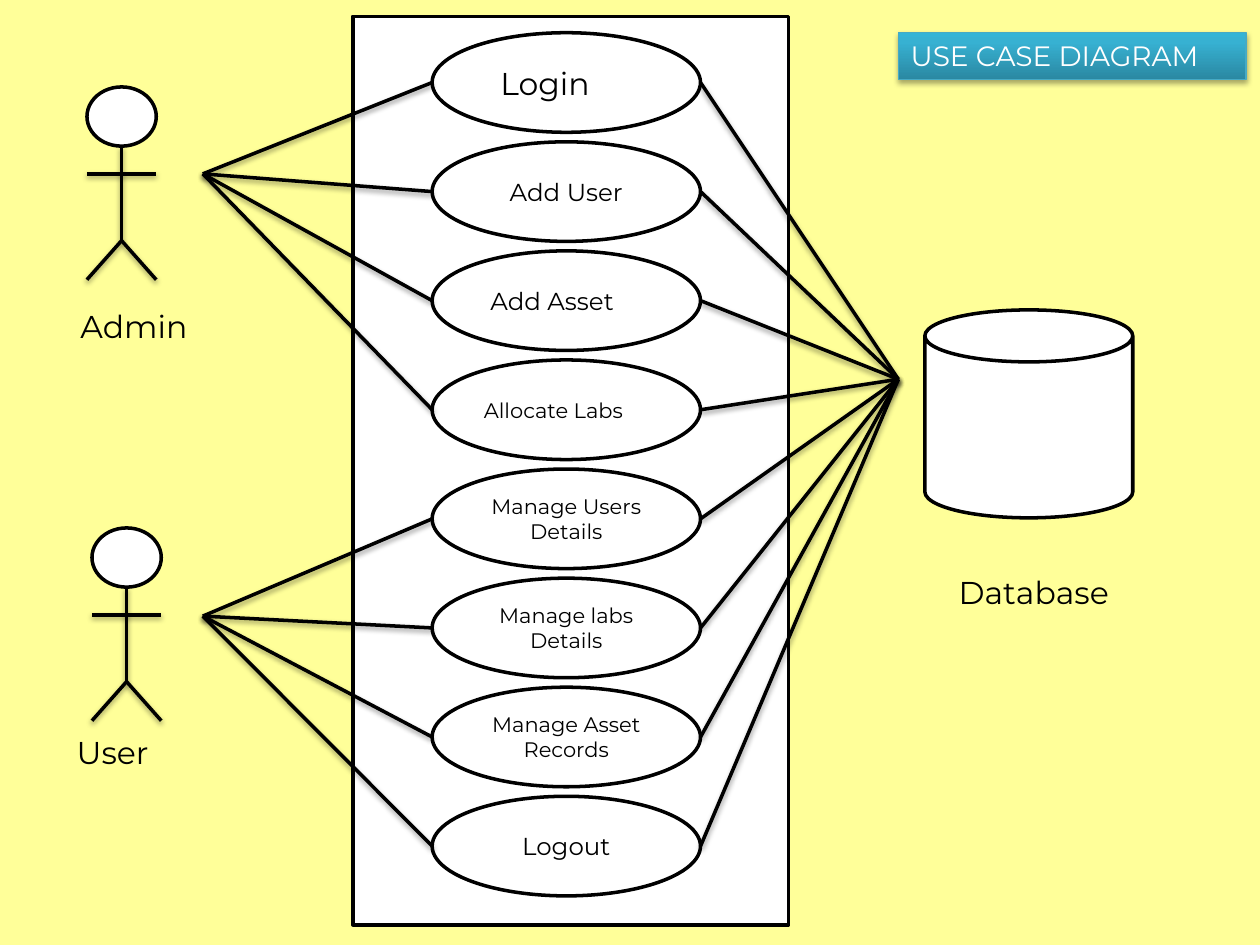
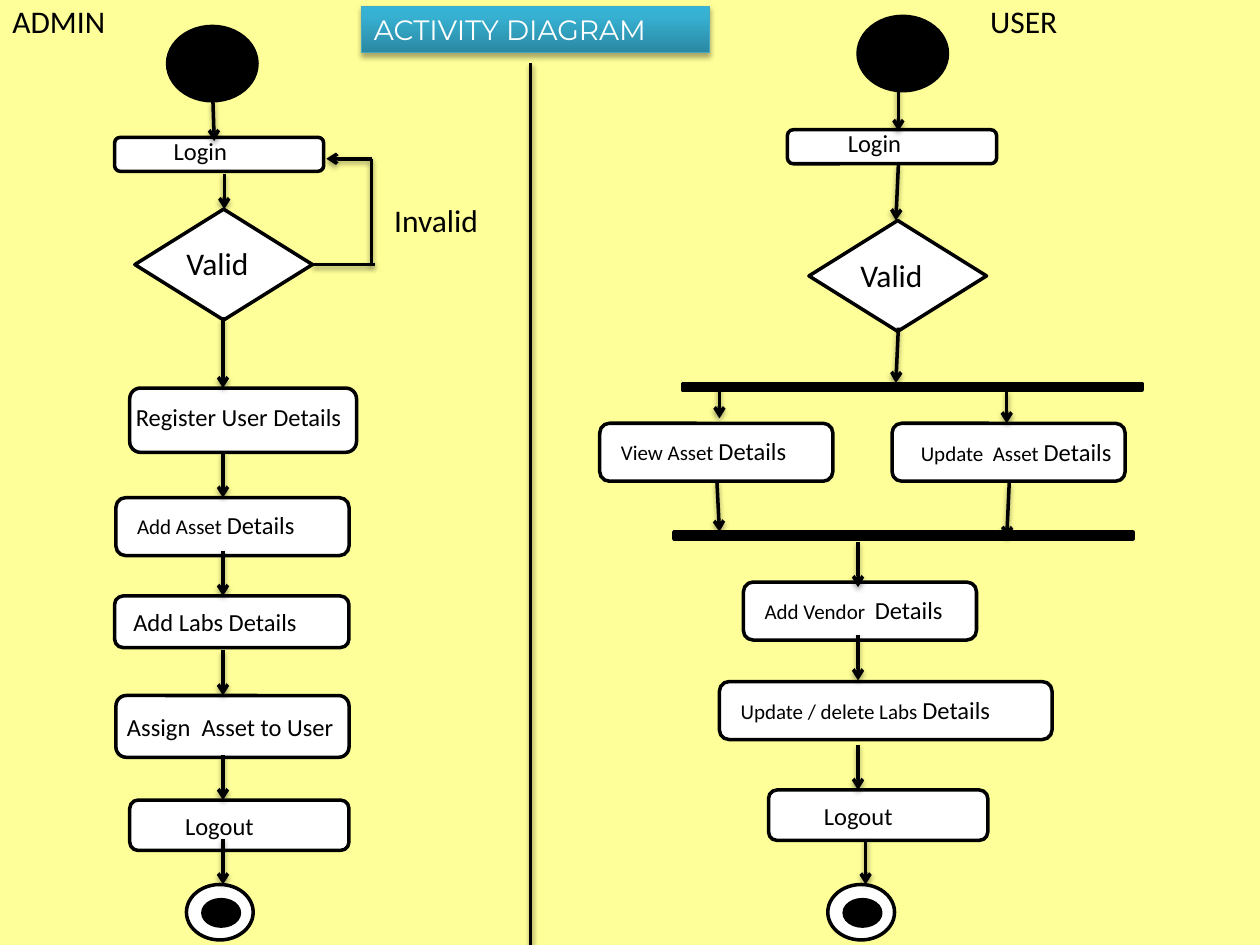
from lxml import etree
from pptx import Presentation
from pptx.dml.color import RGBColor
from pptx.enum.shapes import MSO_CONNECTOR, MSO_SHAPE
from pptx.enum.text import MSO_ANCHOR, MSO_AUTO_SIZE, PP_ALIGN
from pptx.oxml.ns import qn
from pptx.util import Inches, Pt

RECT, ROUNDED, OVAL = MSO_SHAPE.RECTANGLE, MSO_SHAPE.ROUNDED_RECTANGLE, MSO_SHAPE.OVAL
DIAMOND, CYLINDER = MSO_SHAPE.DIAMOND, MSO_SHAPE.CAN
DISC, BAR = MSO_SHAPE.FLOWCHART_CONNECTOR, MSO_SHAPE.MATH_MINUS
STRAIGHT = MSO_CONNECTOR.STRAIGHT
LEFT, CENTER = PP_ALIGN.LEFT, PP_ALIGN.CENTER
TOP, MIDDLE = MSO_ANCHOR.TOP, MSO_ANCHOR.MIDDLE
GROW = MSO_AUTO_SIZE.SHAPE_TO_FIT_TEXT

BLACK, WHITE, PAPER = "000000", "FFFFFF", "FFFF99"
BANNER_EDGE = "46AAC5"
BANNER_STOPS = [(0, "2A88A2"), (80, "37B1D2"), (100, "34B4D6")]
HEADING_FONT, FLOW_FONT = "Montserrat", "Calibri"


def color(value):
    return RGBColor.from_string(value)


# ---- shared pieces ----

def add_slide(deck):
    slide = deck.slides.add_slide(deck.slide_layouts[6])
    slide.background.fill.solid()
    slide.background.fill.fore_color.rgb = color(PAPER)
    return slide


def add_element(parent, tag, **attributes):
    child = etree.SubElement(parent, qn(tag))
    for name, value in attributes.items():
        child.set(name, str(value))
    return child


def cast_shadow(part, opacity, distance):
    effects = add_element(part._element.spPr, "a:effectLst")
    shadow = add_element(effects, "a:outerShdw", blurRad=Pt(3.1), dist=Pt(distance),
                         dir=5400000, rotWithShape=0)
    tint = add_element(shadow, "a:srgbClr", val=BLACK)
    add_element(tint, "a:alpha", val=opacity * 1000)


def outlined(slide, kind, x, y, w, h, fill=WHITE):
    part = slide.shapes.add_shape(kind, Inches(x), Inches(y), Inches(w), Inches(h))
    part.shadow.inherit = False
    part.fill.solid()
    part.fill.fore_color.rgb = color(fill)
    part.line.color.rgb = color(BLACK)
    part.line.width = Pt(2)
    return part


def line(slide, x1, y1, x2, y2, arrow=False):
    link = slide.shapes.add_connector(STRAIGHT, Inches(x1), Inches(y1),
                                      Inches(x2), Inches(y2))
    link.line.color.rgb = color(BLACK)
    link.line.width = Pt(2)
    if arrow:
        add_element(link.line._get_or_add_ln(), "a:tailEnd", type="arrow")
    cast_shadow(link, 38, 1.6)


def write(frame, runs, font, ink=BLACK, align=LEFT, anchor=TOP):
    """Fill a text frame from (text, size) pairs."""
    frame.vertical_anchor = anchor
    paragraph = frame.paragraphs[0]
    paragraph.alignment = align
    paragraph.font.name = font
    paragraph.font.color.rgb = color(ink)
    paragraph.font.size = Pt(runs[0][1])
    for text, size in runs:
        run = paragraph.add_run()
        run.text = text
        if size != runs[0][1]:
            run.font.size = Pt(size)


def label(slide, x, y, w, runs, font=FLOW_FONT, wrap=True):
    height = 0.4 if runs[0][1] == 18 else 0.34
    box = slide.shapes.add_textbox(Inches(x), Inches(y), Inches(w), Inches(height))
    box.text_frame.word_wrap = wrap
    box.text_frame.auto_size = GROW
    write(box.text_frame, runs, font)


def banner(slide, x, y, title):
    part = slide.shapes.add_shape(RECT, Inches(x), Inches(y), Inches(2.76), Inches(0.37))
    part.fill.gradient()
    part.fill.gradient_angle = 90
    stops = part._element.spPr.find(".//" + qn("a:gsLst"))
    for old_stop in list(stops):
        stops.remove(old_stop)
    for position, shade in BANNER_STOPS:
        stop = add_element(stops, "a:gs", pos=position * 1000)
        add_element(stop, "a:srgbClr", val=shade)
    part.line.color.rgb = color(BANNER_EDGE)
    part.line.width = Pt(0.75)
    cast_shadow(part, 35, 1.8)
    part.text_frame.word_wrap = True
    part.text_frame.auto_size = GROW
    write(part.text_frame, [(title, 16)], HEADING_FONT, WHITE)


# ---- use case diagram ----

CASE_W, CASE_H = 2.13, 0.79
# text, size, alignment, extra left indent
USE_CASES = [
    ("Login", 18, LEFT, 0.13),
    ("Add User", 14, CENTER, 0),
    ("Add Asset", 14, LEFT, 0.05),
    ("Allocate Labs", 12, LEFT, 0),
    ("Manage Users Details", 12, CENTER, 0),
    ("Manage labs Details", 12, CENTER, 0),
    ("Manage Asset Records", 12, CENTER, 0),
    ("Logout", 14, CENTER, 0),
]


def system_boundary(slide, x, y, w, h):
    """Draw the use cases; return their left edge and vertical centres."""
    outlined(slide, RECT, x, y, w, h)
    case_x, first_y, last_y = x + 0.63, y + 0.13, y + 6.19
    pitch = (last_y - first_y) / (len(USE_CASES) - 1)
    centres = []
    for i, (text, size, align, indent) in enumerate(USE_CASES):
        case_y = first_y + i * pitch
        case = outlined(slide, OVAL, case_x, case_y, CASE_W, CASE_H)
        case.text_frame.word_wrap = True
        case.text_frame.margin_left = Inches(0.1 + indent)
        write(case.text_frame, [(text, size)], HEADING_FONT, align=align, anchor=MIDDLE)
        centres.append(case_y + CASE_H / 2)
    return case_x, centres


def actor(slide, x, y, w):
    middle, neck, hip, foot = x + w / 2, y + 0.47, y + 1.22, y + 1.53
    outlined(slide, DISC, x, y, w, 0.47)
    line(slide, middle, neck, middle, hip)
    line(slide, middle, hip, x, foot)
    line(slide, middle, hip, x + w, foot)
    line(slide, x, y + 0.69, x + w, y + 0.69)


def use_case_slide(deck):
    slide = add_slide(deck)
    case_x, centres = system_boundary(slide, 2.8, 0.13, 3.46, 7.21)
    actor(slide, 0.69, 0.69, 0.55)
    actor(slide, 0.73, 4.19, 0.55)
    outlined(slide, CYLINDER, 7.34, 2.46, 1.65, 1.65)
    for name, x, y, w in [("Admin", 0.54, 2.39, 1.07), ("User", 0.51, 5.77, 0.85),
                          ("Database", 7.51, 4.5, 1.5)]:
        label(slide, x, y, w, [(name, 18)], HEADING_FONT, wrap=False)
    banner(slide, 7.13, 0.26, "USE CASE DIAGRAM")

    # Each actor reaches four use cases, and every use case reaches the database
    for hub_y, reached in [(1.38, centres[:4]), (4.89, centres[4:])]:
        for centre in reached:
            line(slide, 1.61, hub_y, case_x, centre)
    for centre in centres:
        line(slide, case_x + CASE_W, centre, 7.13, 3.01)


# ---- activity diagram: positions are relative to each lane's corner ----

# kind, box, label position and width, label runs
ADMIN_STEPS = [
    (ROUNDED, (0.91, 1.09, 1.66, 0.27), (1.28, 1.03, 0.88), [("Login", 14)]),
    (DIAMOND, (1.07, 1.66, 1.41, 0.88), (1.38, 1.89, 0.88), [("Valid", 18)]),
    (ROUNDED, (1.03, 3.08, 1.8, 0.51), (0.98, 3.14, 1.93),
     [("Register User Details", 14)]),
    (ROUNDED, (0.92, 3.95, 1.85, 0.46), (0.99, 4, 1.73),
     [("Add Asset ", 12), ("Details", 14)]),
    (ROUNDED, (0.91, 4.73, 1.86, 0.41), (0.96, 4.77, 1.76), [("Add Labs Details", 14)]),
    (ROUNDED, (0.92, 5.52, 1.85, 0.49), (0.91, 5.6, 2.2),
     [("Assign  Asset to User", 14)]),
    (ROUNDED, (1.03, 6.35, 1.74, 0.4), (1.37, 6.39, 0.88), [("Logout", 14)]),
]
# x and y of the start, then of the tip
ADMIN_ARROWS = [(1.69, 0.8, 1.7, 1.12), (1.78, 1.38, 1.78, 1.66), (1.77, 2.52, 1.77, 3.08)]
ADMIN_ARROWS += [(1.77, tip - 0.36, 1.77, tip) for tip in (3.95, 4.73, 5.52, 6.35, 7.02)]

USER_STEPS = [
    (ROUNDED, (2.04, 1.03, 1.66, 0.27), (2.42, 0.97, 0.88), [("Login", 14)]),
    (DIAMOND, (2.21, 1.75, 1.41, 0.88), (2.52, 1.98, 0.88), [("Valid", 18)]),
    (ROUNDED, (0.55, 3.36, 1.85, 0.46), (0.62, 3.41, 1.73),
     [("View Asset ", 12), ("Details", 14)]),
    (ROUNDED, (2.87, 3.36, 1.85, 0.46), (3, 3.42, 1.73),
     [("Update  Asset ", 12), ("Details", 14)]),
    (ROUNDED, (1.69, 4.62, 1.85, 0.46), (1.76, 4.67, 1.73),
     [("Add Vendor  ", 12), ("Details", 14)]),
    (ROUNDED, (1.5, 5.41, 2.64, 0.46), (1.57, 5.47, 2.57),
     [("Update / delete Labs ", 12), ("Details", 14)]),
    (ROUNDED, (1.89, 6.27, 1.74, 0.4), (2.23, 6.31, 0.88), [("Logout", 14)]),
]
USER_ARROWS = [
    (2.92, 0.68, 2.92, 1.04), (2.92, 1.31, 2.9, 1.75), (2.92, 2.6, 2.9, 3.04),
    (1.5, 3.06, 1.5, 3.32), (3.78, 3.1, 3.78, 3.36),
    (1.48, 3.82, 1.5, 4.22), (3.8, 3.83, 3.78, 4.27),
    (2.66, 6.66, 2.66, 7.02),
]
USER_ARROWS += [(2.6, tip - 0.36, 2.6, tip) for tip in (4.66, 5.4, 6.27)]


def flow(slide, left, top, start, end, steps, arrows):
    """Draw one lane from its start dot to its end ring."""
    outlined(slide, OVAL, left + start[0], top + start[1], 0.71, 0.59, BLACK)
    for kind, (x, y, w, h), (text_x, text_y, text_w), runs in steps:
        outlined(slide, kind, left + x, top + y, w, h)
        label(slide, left + text_x, top + text_y, text_w, runs)
    end_x, end_y = left + end[0], top + end[1]
    outlined(slide, OVAL, end_x, end_y, 0.53, 0.44)
    outlined(slide, DISC, end_x + 0.13, end_y + 0.12, 0.29, 0.21, BLACK)
    for x1, y1, x2, y2 in arrows:
        line(slide, left + x1, top + y1, left + x2, top + y2, arrow=True)


def admin_lane(slide, left, top):
    flow(slide, left, top, (1.33, 0.21), (1.48, 7.02), ADMIN_STEPS, ADMIN_ARROWS)
    # Invalid logins loop back
    loop_x, valid_y, login_y = left + 2.95, top + 2.1, top + 1.26
    line(slide, left + 2.48, valid_y, loop_x + 0.03, valid_y)
    line(slide, loop_x, login_y, loop_x, valid_y)
    line(slide, loop_x, login_y, left + 2.59, login_y, arrow=True)
    label(slide, left + 3.03, top + 1.55, 1.18, [("Invalid", 18)])
    label(slide, left, top - 0.03, 1.28, [("ADMIN", 18)])


def user_lane(slide, left, top):
    # Fork and join bars
    for x, y in [(0.55, 2.96), (0.48, 4.14)]:
        outlined(slide, BAR, left + x, top + y, 4.96, 0.22, BLACK)
    flow(slide, left, top, (2.6, 0.13), (2.36, 7.02), USER_STEPS, USER_ARROWS)
    label(slide, left + 3.55, top - 0.03, 1.28, [("USER", 18)])


def activity_slide(deck):
    slide = add_slide(deck)
    divider_x = 4.21
    admin_lane(slide, 0, 0)
    user_lane(slide, divider_x, 0)
    line(slide, divider_x, 0.5, divider_x, 7.5)
    banner(slide, 2.87, 0.05, "ACTIVITY DIAGRAM")


deck = Presentation()
deck.slide_width, deck.slide_height = Inches(10), Inches(7.5)
use_case_slide(deck)
activity_slide(deck)
deck.save("out.pptx")
